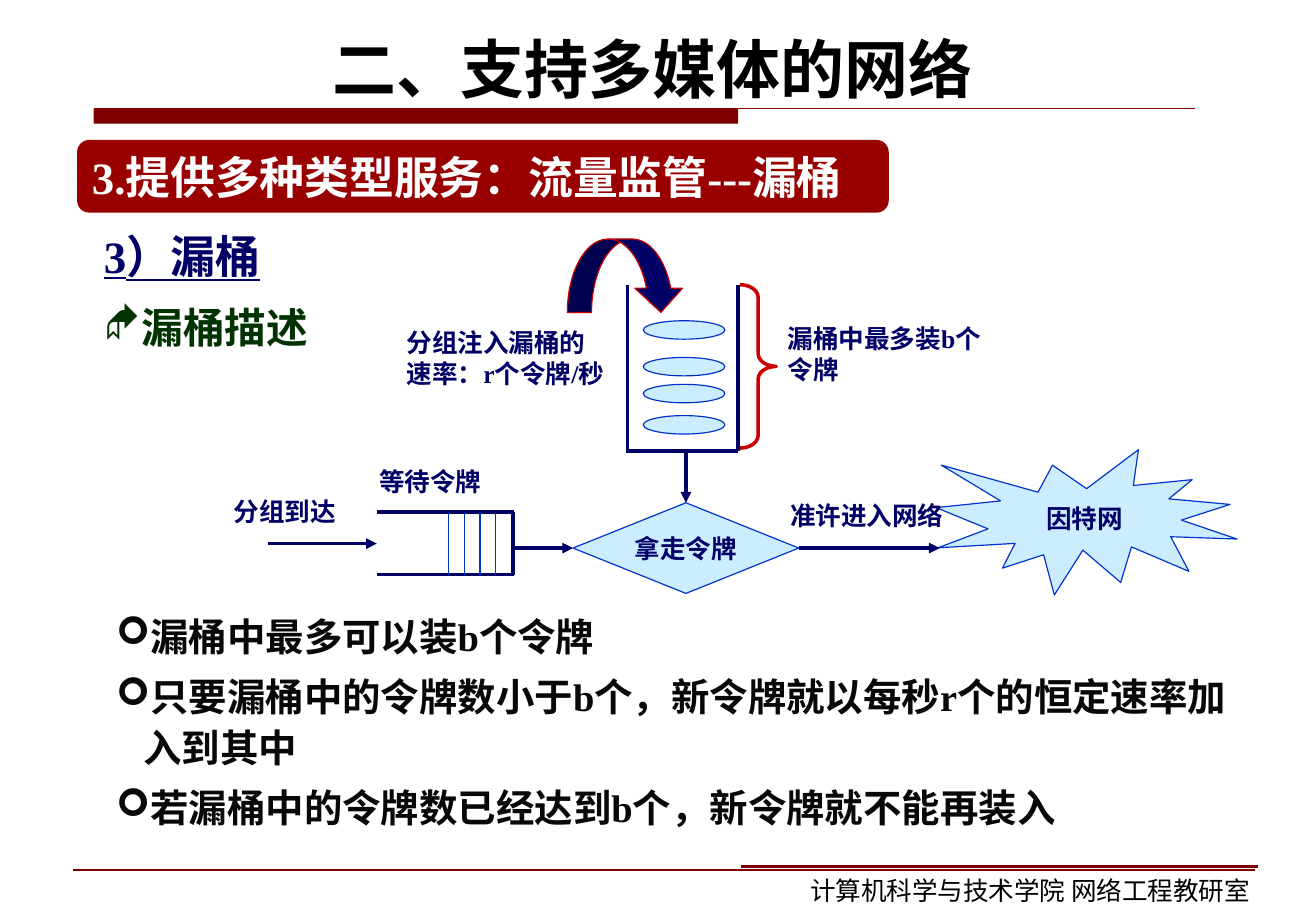
from dataclasses import dataclass

import lxml.etree
import pptx
import pptx.dml.color
import pptx.enum.shapes
import pptx.enum.text
import pptx.oxml.ns
import pptx.util

Pt = pptx.util.Pt
SHAPES = pptx.enum.shapes.MSO_SHAPE
ALIGN = pptx.enum.text.PP_ALIGN
ANCHOR = pptx.enum.text.MSO_ANCHOR

NAVY = "000066"
BLUE = "0033CC"
PALE = "CCECFF"
MAROON = "800000"
SERIF = "Times New Roman"
SANS = "Arial"


@dataclass(frozen=True)
class Box:
    left: float
    top: float
    width: float
    height: float


@dataclass(frozen=True)
class TextStyle:
    size: float
    color: str
    font: str = SERIF
    bold: bool = True
    underline: bool = False
    align: ALIGN = ALIGN.LEFT
    space_before: float = 0
    line_spacing: float = 1.0
    bullet: str = ""
    margin: float = 0
    indent: float = 0


@dataclass(frozen=True)
class Label:
    text: str
    box: Box
    style: TextStyle


@dataclass(frozen=True)
class Line:
    x1: float
    y1: float
    x2: float
    y2: float
    color: str = NAVY
    width: float = 2.25
    arrow: bool = False


@dataclass(frozen=True)
class Figure:
    kind: SHAPES
    box: Box
    fill: str = ""
    line: str = ""
    line_width: float = 0.75
    adjustments: tuple[float, ...] = ()


NOTE = TextStyle(16, NAVY, space_before=10)
CAPTION = TextStyle(16, NAVY, SANS, space_before=10)
CENTERED = TextStyle(16, NAVY, SANS, align=ALIGN.CENTER)
HEADING = TextStyle(28, NAVY, underline=True, space_before=7, line_spacing=1.1)
TOPIC = TextStyle(26, "003300", space_before=6.5, line_spacing=1.1,
                  bullet="◆", margin=26.5, indent=-21.5)
POINT = TextStyle(24, "080808", space_before=6, line_spacing=1.1,
                  bullet="➢", margin=17, indent=-17)

LABELS = [
    Label("3）漏桶", Box(57.8, 135.6, 737, 44.6), HEADING),
    Label("漏桶描述", Box(52.8, 181.6, 720, 41.8), TOPIC),
    Label("等待令牌", Box(229.7, 287.3, 113, 26.6), CAPTION),
    Label("分组到达", Box(139, 306, 113, 26.6), CAPTION),
    Label("准许进入网络", Box(485, 308.4, 113, 26.6),
          TextStyle(16, NAVY, SANS, align=ALIGN.CENTER, space_before=10)),
    Label("分组注入漏桶的速率：r个令牌/秒", Box(247, 200.5, 141.8, 64.8), NOTE),
    Label("漏桶中最多装b个令牌", Box(485, 198.2, 141.8, 46), NOTE),
    Label("漏桶中最多可以装b个令牌\n"
          "只要漏桶中的令牌数小于b个，新令牌就以每秒r个的恒定速率加入到其中\n"
          "若漏桶中的令牌数已经达到b个，新令牌就不能再装入",
          Box(65.5, 376.1, 720, 146.2), POINT),
    Label("计算机科学与技术学院 网络工程教研室", Box(499, 542.5, 302.4, 26.6),
          TextStyle(16, "000000", SANS, bold=False, space_before=10)),
]

QUEUE = [Line(235.4, 319.7, 320.8, 319.7), Line(235.4, 358.6, 320.8, 358.6),
         Line(320.4, 319.7, 320.4, 359.3)]
DIVIDERS = [Line(280 + 9.9 * i, 320.4, 280 + 9.9 * i, 359.3, BLUE, 0.75)
            for i in range(4)]
BUCKET = [Line(461, 177.8, 461, 281.5), Line(392, 177.8, 392, 282.2),
          Line(461, 281.5, 391.2, 281.5)]
RULES = [Line(58.5, 67.8, 746.6, 67.8, MAROON, 0.75),
         Line(45.4, 543.2, 784, 543.2, MAROON, 1.5),
         Line(463, 541, 785.8, 541, MAROON, 2.25)]
ARRIVAL = Line(167.2, 339.4, 235.4, 339.4, arrow=True)
QUEUE_TO_DIAMOND = Line(320.4, 342.2, 358, 342.2, arrow=True)
BUCKET_TO_DIAMOND = Line(428.5, 281.5, 428.5, 313.9, arrow=True)
DIAMOND_TO_NETWORK = Line(499, 342.2, 587, 342.2, arrow=True)

TOKENS = [Figure(SHAPES.OVAL, Box(401.8, top, 51, 11.5), PALE, BLUE)
          for top in (200.3, 223.2, 240, 259.5)]
TITLE_BAR = Figure(SHAPES.RECTANGLE, Box(58.5, 67.8, 402.6, 9.4), MAROON)
DIAMOND = Figure(SHAPES.DIAMOND, Box(358, 313.9, 141, 56.6), PALE, BLUE)
NETWORK = Figure(SHAPES.EXPLOSION1, Box(584.8, 280.8, 188, 90.7), PALE, BLUE)
INFLOW = Figure(SHAPES.CURVED_DOWN_ARROW, Box(354.4, 149.2, 73.4, 45.9),
                NAVY, "CC0000", adjustments=(0.33, 0.65, 0.33))
BRACE = Figure(SHAPES.RIGHT_BRACE, Box(462.3, 177.8, 22.6, 102),
               line="CC0000", line_width=2.25, adjustments=(0.35, 0.5))
BANNER = Figure(SHAPES.ROUNDED_RECTANGLE, Box(48.2, 87.4, 507, 45.4),
                "990000", adjustments=(0.167,))


def rgb(value: str) -> pptx.dml.color.RGBColor:
    return pptx.dml.color.RGBColor.from_string(value)


def add_child(parent, tag: str, **attributes: str) -> None:
    lxml.etree.SubElement(parent, pptx.oxml.ns.qn(tag), attributes)


def write_text(shape, text: str, style: TextStyle) -> None:
    frame = shape.text_frame
    frame.text = text
    for paragraph in frame.paragraphs:
        paragraph.alignment = style.align
        paragraph.space_before = Pt(style.space_before)
        paragraph.line_spacing = style.line_spacing
        if style.bullet:
            properties = paragraph._p.get_or_add_pPr()
            properties.set("marL", str(Pt(style.margin)))
            properties.set("indent", str(Pt(style.indent)))
            add_child(properties, "a:buFont", typeface="Wingdings", charset="2")
            add_child(properties, "a:buChar", char=style.bullet)
        font = paragraph.font
        font.name = style.font
        font.size = Pt(style.size)
        font.bold = style.bold
        font.underline = style.underline
        font.color.rgb = rgb(style.color)


def place(shape, box: Box) -> None:
    shape.left, shape.top = Pt(box.left), Pt(box.top)
    shape.width, shape.height = Pt(box.width), Pt(box.height)


def add_label(slide, label: Label) -> None:
    box = label.box
    shape = slide.shapes.add_textbox(
        Pt(box.left), Pt(box.top), Pt(box.width), Pt(box.height))
    shape.text_frame.word_wrap = True
    write_text(shape, label.text, label.style)


def add_line(slide, line: Line):
    connector = slide.shapes.add_connector(
        pptx.enum.shapes.MSO_CONNECTOR.STRAIGHT,
        Pt(line.x1), Pt(line.y1), Pt(line.x2), Pt(line.y2))
    connector.line.color.rgb = rgb(line.color)
    connector.line.width = Pt(line.width)
    if line.arrow:
        add_child(connector.line._get_or_add_ln(), "a:tailEnd", type="triangle")
    add_child(connector._element.spPr, "a:effectLst")
    return connector


def add_figure(slide, figure: Figure, text: str = "", style: TextStyle = CENTERED):
    box = figure.box
    shape = slide.shapes.add_shape(
        figure.kind, Pt(box.left), Pt(box.top), Pt(box.width), Pt(box.height))
    shape.shadow.inherit = False
    for index, value in enumerate(figure.adjustments):
        shape.adjustments[index] = value
    if figure.fill:
        shape.fill.solid()
        shape.fill.fore_color.rgb = rgb(figure.fill)
    else:
        shape.fill.background()
    if figure.line:
        shape.line.color.rgb = rgb(figure.line)
        shape.line.width = Pt(figure.line_width)
    else:
        shape.line.fill.background()
    if text:
        shape.text_frame.word_wrap = False
        shape.text_frame.vertical_anchor = ANCHOR.MIDDLE
        write_text(shape, text, style)
    return shape


def main() -> None:
    presentation = pptx.Presentation()
    presentation.slide_width, presentation.slide_height = Pt(822.05), Pt(566.93)
    slide = presentation.slides.add_slide(presentation.slide_layouts[5])

    title = slide.shapes.title
    place(title, Box(44.2, 2.2, 727.2, 79.9))
    title.text_frame.vertical_anchor = ANCHOR.MIDDLE
    write_text(title, "二、支持多媒体的网络", TextStyle(40, "000000", align=ALIGN.CENTER))

    for figure in [TITLE_BAR, *TOKENS, INFLOW, BRACE]:
        add_figure(slide, figure)
    diamond = add_figure(slide, DIAMOND, "拿走令牌")
    add_figure(slide, NETWORK, "因特网")
    add_figure(slide, BANNER, "3.提供多种类型服务：流量监管---漏桶",
               TextStyle(28, "FFFFFF", space_before=17.5))
    for line in [*RULES, *QUEUE, *DIVIDERS, *BUCKET, ARRIVAL]:
        add_line(slide, line)
    add_line(slide, BUCKET_TO_DIAMOND).end_connect(diamond, 0)
    add_line(slide, QUEUE_TO_DIAMOND).end_connect(diamond, 1)
    add_line(slide, DIAMOND_TO_NETWORK).begin_connect(diamond, 3)
    for label in LABELS:
        add_label(slide, label)

    presentation.save("out.pptx")


if __name__ == "__main__":
    main()
